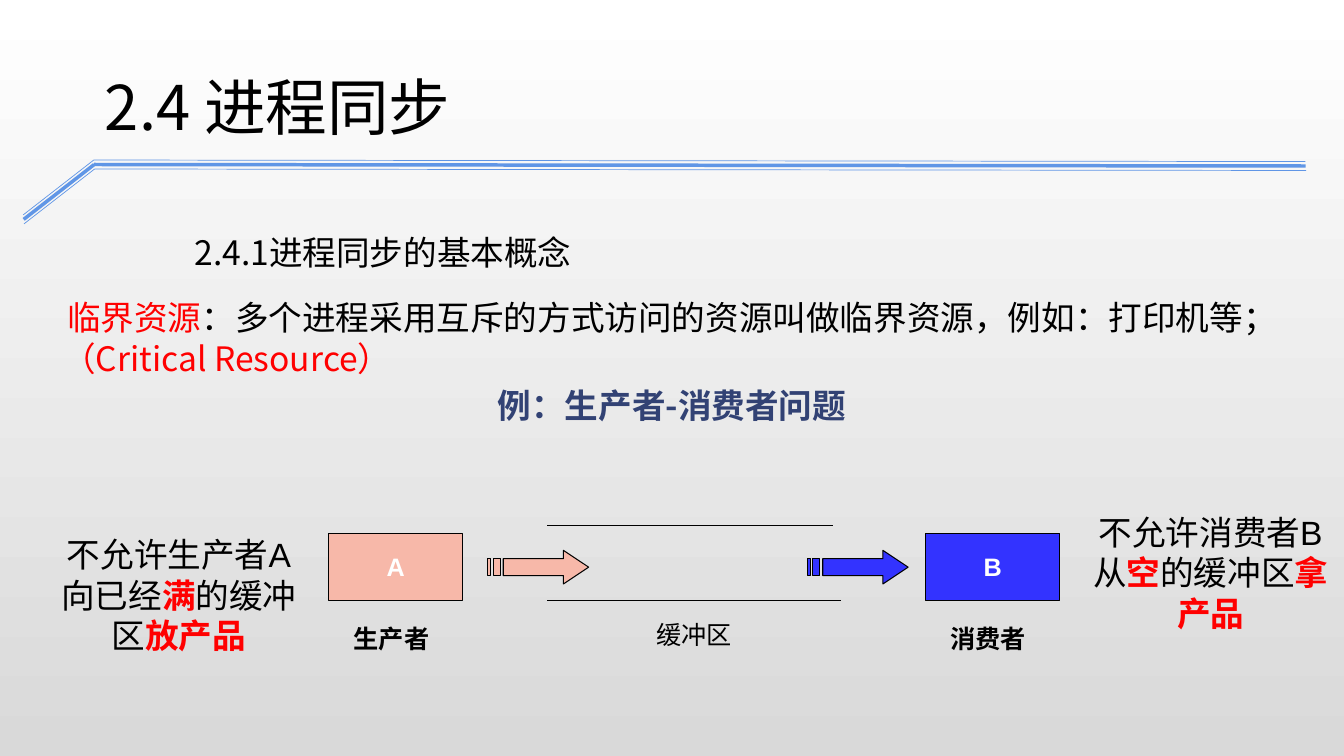
from pptx import Presentation
from pptx.dml.color import RGBColor
from pptx.enum.lang import MSO_LANGUAGE_ID
from pptx.enum.shapes import MSO_CONNECTOR, MSO_SHAPE
from pptx.enum.text import MSO_ANCHOR, MSO_AUTO_SIZE, PP_ALIGN
from pptx.oxml.ns import qn
from pptx.util import Pt
from lxml.etree import SubElement

BLACK = RGBColor(0x00, 0x00, 0x00)
WHITE = RGBColor(0xFF, 0xFF, 0xFF)
GREY = RGBColor(0xD9, 0xD9, 0xD9)
RED = RGBColor(0xFF, 0x00, 0x00)
NAVY = RGBColor(0x32, 0x42, 0x74)
SKY = RGBColor(0x60, 0x96, 0xE6)
SALMON = RGBColor(0xF7, 0xB8, 0xA9)
BLUE = RGBColor(0x33, 0x33, 0xFF)

NOTO = "Noto Sans CJK JP"
ARIAL = "Arial"


class SlideBuilder:
    outline = 0.75

    def __init__(self, slide):
        self.slide = slide
        self.shapes = slide.shapes

    def backdrop(self, top, bottom):
        fill = self.slide.background.fill
        fill.gradient()
        fill.gradient_angle = 270
        for stop, color in zip(fill.gradient_stops, (top, bottom)):
            stop.color.rgb = color

    def fill_text(self, frame, paragraphs, font=NOTO, size=24, align=PP_ALIGN.LEFT,
                  spacing=None, **frame_format):
        settings = {"word_wrap": True, "vertical_anchor": MSO_ANCHOR.TOP,
                    "auto_size": MSO_AUTO_SIZE.NONE, **frame_format}
        for key, value in settings.items():
            setattr(frame, key, value)
        for index, runs in enumerate(paragraphs):
            paragraph = frame.add_paragraph() if index else frame.paragraphs[0]
            paragraph.alignment = align if index == 0 else PP_ALIGN.LEFT
            if spacing:
                paragraph.line_spacing = spacing
            for text, color, bold in runs:
                run = paragraph.add_run()
                run.text = text
                run.font.color.rgb = color
                style = {"name": font, "size": Pt(size), "bold": bold,
                         "language_id": MSO_LANGUAGE_ID.SIMPLIFIED_CHINESE}
                for key, value in style.items():
                    setattr(run.font, key, value)
                SubElement(run.font._element, qn("a:ea")).set("typeface", NOTO)

    def title(self, text, left, top, width, height):
        heading = self.shapes.title
        place = {"left": left, "top": top, "width": width, "height": height}
        for key, value in place.items():
            setattr(heading, key, Pt(value))
        self.fill_text(heading.text_frame, [[(text, BLACK, False)]], size=44)

    def text(self, paragraphs, left, top, width, height, **style):
        box = self.shapes.add_textbox(Pt(left), Pt(top), Pt(width), Pt(height))
        self.fill_text(box.text_frame, paragraphs, **style)

    def paint(self, shape, fill):
        shape.shadow.inherit = False
        shape.fill.solid()
        shape.fill.fore_color.rgb = fill
        shape.line.color.rgb = BLACK
        shape.line.width = Pt(self.outline)

    def process(self, letter, fill, left, top, width, height):
        block = self.shapes.add_shape(MSO_SHAPE.RECTANGLE, Pt(left), Pt(top), Pt(width), Pt(height))
        self.paint(block, fill)
        self.fill_text(block.text_frame, [[(letter, WHITE, True)]], font=ARIAL, size=18,
                       align=PP_ALIGN.CENTER, vertical_anchor=MSO_ANCHOR.MIDDLE, word_wrap=False)

    def line(self, start, end, color=BLACK, width=outline):
        stroke = self.shapes.add_connector(
            MSO_CONNECTOR.STRAIGHT, *(Pt(value) for value in (*start, *end)))
        stroke.line.color.rgb = color
        stroke.line.width = Pt(width)
        SubElement(stroke._element.spPr, qn("a:effectLst"))

    def striped_arrow(self, fill, left, top, width, height):
        neck, tail, base = 0.75 * width, width * 5 / 32, 0.75 * height
        shoulder = height - base
        head = [(neck, 0), (neck, shoulder), (tail, shoulder), (tail, base),
                (neck, base), (neck, height), (width, height / 2)]
        stripes = [[(x1, shoulder), (x1, base), (x2, base), (x2, shoulder)]
                   for x1, x2 in ((width / 16, width / 8), (0, width / 32))]
        builder = self.shapes.build_freeform(*head[0], scale=Pt(1))
        builder.add_line_segments(head[1:])
        for stripe in stripes:
            builder.move_to(*stripe[0])
            builder.add_line_segments(stripe[1:])
        self.paint(builder.convert_to_shape(Pt(left), Pt(top)), fill)


def main():
    deck = Presentation()
    deck.slide_width, deck.slide_height = Pt(960), Pt(540)
    page = SlideBuilder(deck.slides.add_slide(deck.slide_layouts[5]))
    page.backdrop(WHITE, GREY)

    for strand, width in enumerate((0.5, 2.5, 0.5)):
        drop, shift = 3.2 * strand, 0.3 * strand
        bend = (67 + shift, 114.3 + drop)
        page.line((16.6 + shift, 153.5 + drop), bend, SKY, width)
        page.line(bend, (932.4 + shift, 115.4 + drop), SKY, width)

    page.title("2.4 进程同步", 67.7, 45.4, 685.4, 60.5)
    page.text([[("2.4.1进程同步的基本概念", BLACK, False)]],
              131.8, 147.6, 824.4, 51, spacing=1.5)
    page.text([[("临界资源", RED, False),
                ("：多个进程采用互斥的方式访问的资源叫做临界资源，例如：打印机等；", BLACK, False)],
               [("（Critical Resource）", RED, False)]],
              37.4, 208.8, 885, 65.5, align=PP_ALIGN.CENTER)
    page.text([[("例：生产者-消费者问题", NAVY, True)]],
              37.4, 271.4, 885, 36, align=PP_ALIGN.CENTER)

    for letter, role, fill, block_left, arrow_left in (
            ("A", "生产者", SALMON, 234.7, 348.5), ("B", "消费者", BLUE, 661, 576.7)):
        page.process(letter, fill, block_left, 380.9, 96, 48)
        page.striped_arrow(fill, arrow_left, 393.1, 72, 24)
        page.text([[(role, BLACK, True)]], block_left + 10.8, 441.4, 68.4, 28.8,
                  font=ARIAL, size=18, word_wrap=False)

    for right, level in ((594.7, 375.1), (600.5, 429.1)):
        page.line((391, level), (right, level))
    page.text([[("缓冲区", BLACK, False)]], 432.7, 434.9, 126, 36, font=ARIAL, size=18,
              align=PP_ALIGN.CENTER, vertical_anchor=MSO_ANCHOR.MIDDLE, word_wrap=False)

    for rule, state, action, left, top, width in (
            ("不允许生产者A向已经", "满", "放产品", 33.1, 378, 189.4),
            ("不允许消费者B从", "空", "拿产品", 769, 362.2, 191.5)):
        page.text([[(rule, BLACK, False), (state, RED, True),
                    ("的缓冲区", BLACK, False), (action, RED, True)]],
                  left, top, width, 94.3, font=ARIAL, align=PP_ALIGN.CENTER)

    deck.save("out.pptx")


if __name__ == "__main__":
    main()
